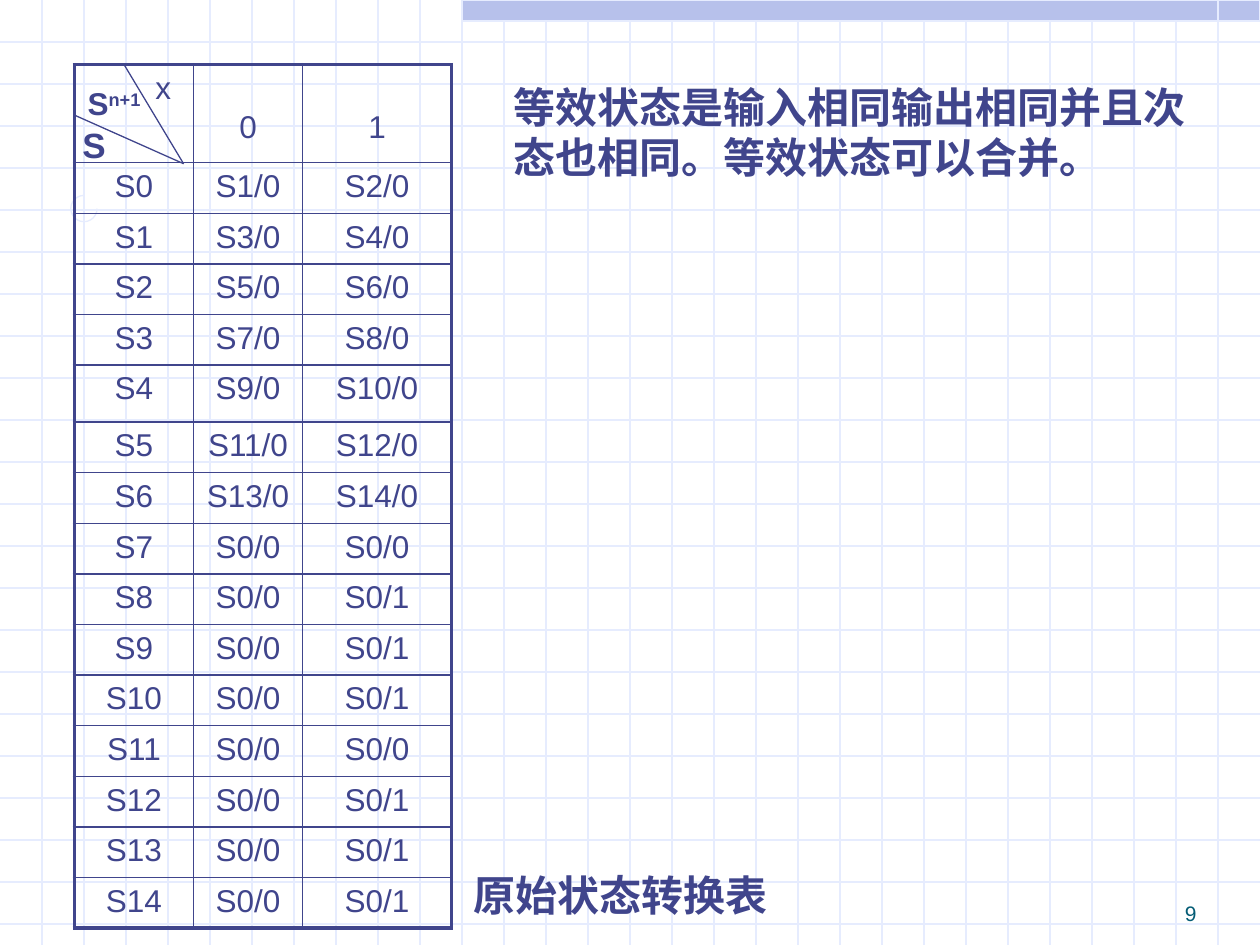
from lxml import etree
from pptx import Presentation
from pptx import util as u
from pptx.dml.color import RGBColor
from pptx.enum import shapes, text
from pptx.oxml import ns

INK = RGBColor(0x40, 0x45, 0x8C)
GRID = RGBColor(0xE6, 0xEC, 0xFE)
BAND = RGBColor(0xB7, 0xC1, 0xEB)
TEAL = RGBColor(0x04, 0x5C, 0x75)
FONT = "Arial"
THIN, THICK = u.Pt(1), u.Pt(2.25)

HEADER = ("x", "0", "1")
NEXT_STATES = [
    ("S1/0", "S2/0"), ("S3/0", "S4/0"), ("S5/0", "S6/0"), ("S7/0", "S8/0"),
    ("S9/0", "S10/0"), ("S11/0", "S12/0"), ("S13/0", "S14/0"),
    ("S0/0", "S0/0"), ("S0/0", "S0/1"), ("S0/0", "S0/1"), ("S0/0", "S0/1"),
    ("S0/0", "S0/0"), ("S0/0", "S0/1"), ("S0/0", "S0/1"), ("S0/0", "S0/1"),
]


def style_spans(para, size, color=INK, bold=False):
    for span in para.runs:
        font = span.font
        font.name, font.size, font.bold = FONT, u.Pt(size), bold
        font.color.rgb = color


def add_line(page, start, end, color):
    line = page.shapes.add_connector(shapes.MSO_CONNECTOR.STRAIGHT, *start, *end)
    line.line.color.rgb = color
    line.line.width = u.Pt(0.75)
    etree.SubElement(line._element.spPr, ns.qn("a:effectLst"))


def fill_box(box, words, size, color=INK, bold=True, inset=None,
             align=text.PP_ALIGN.LEFT, anchor=text.MSO_ANCHOR.TOP, wrap=True):
    """Put one styled paragraph in a text box or placeholder."""
    frame = box.text_frame
    frame.text = words
    frame.word_wrap = wrap
    frame.auto_size = text.MSO_AUTO_SIZE.NONE
    frame.vertical_anchor = anchor
    if inset is not None:
        frame.margin_left = frame.margin_right = inset
        frame.margin_top = frame.margin_bottom = inset
    para = frame.paragraphs[0]
    para.alignment = align
    style_spans(para, size, color, bold)
    return para


def draw_background(page, width, height):
    """Squared paper, the band at the top right and the circled crossing."""
    step = u.Cm(25.4) / 30
    for row in range(1, 23):
        y = round(row * step)
        add_line(page, (0, y), (width, y), GRID)
    for column in range(1, 30):
        x = round(column * step)
        add_line(page, (x, 0), (x, height), GRID)

    band_left = round(11 * step)
    band = page.shapes.add_shape(shapes.MSO_SHAPE.RECTANGLE, band_left, 0,
                                 width - band_left, round(step / 2))
    band.shadow.inherit = False
    band.fill.solid()
    band.fill.fore_color.rgb = BAND
    band.line.color.rgb = GRID
    band.line.width = u.Pt(0.75)

    margin_right, margin_left = round(29 * step), round(2 * step)
    add_line(page, (margin_right, 0), (margin_right, u.Cm(6.55)), GRID)
    add_line(page, (u.Cm(6.1), u.Cm(4.22)), (u.Cm(1.14), u.Cm(4.22)), GRID)
    add_line(page, (margin_left, u.Cm(3.94)), (margin_left, u.Cm(10.39)), GRID)

    size = u.Cm(0.53)
    ring = page.shapes.add_shape(shapes.MSO_SHAPE.ARC, margin_left - size // 2,
                                 u.Cm(3.94), size, size)
    ring.adjustments[0], ring.adjustments[1] = 0, 162  # 0° to 270°
    ring.shadow.inherit = False
    ring.fill.background()
    ring.line.color.rgb = GRID
    ring.line.width = u.Pt(0.75)


def set_borders(cell, widths):
    """Draw the left, right, top and bottom borders in the given widths."""
    properties = cell._tc.get_or_add_tcPr()
    for side, width in zip("LRTB", widths):
        border = etree.SubElement(properties, ns.qn(f"a:ln{side}"), w=str(width))
        fill = etree.SubElement(border, ns.qn("a:solidFill"))
        etree.SubElement(fill, ns.qn("a:srgbClr"), val=str(INK))


def draw_state_table(page, left, top):
    rows = [HEADER] + [(f"S{i}", *pair) for i, pair in enumerate(NEXT_STATES)]
    widths = [u.Cm(2.4), u.Cm(2.2), u.Cm(3)]
    heights = [u.Cm(1.02)] * len(rows)
    heights[0], heights[5] = u.Cm(1.98), u.Cm(1.15)
    table = page.shapes.add_table(len(rows), len(widths), left, top,
                                  sum(widths), sum(heights)).table
    table.first_row = table.horz_banding = False
    for column, width in zip(table.columns, widths):
        column.width = width
    last_row, last_column = len(rows) - 1, len(widths) - 1
    for r, values in enumerate(rows):
        table.rows[r].height = heights[r]
        for c, value in enumerate(values):
            cell = table.cell(r, c)
            edges = (c == 0, c == last_column, r == 0, r == last_row)
            set_borders(cell, [THICK if edge else THIN for edge in edges])
            cell.fill.background()
            cell.text_frame.text = value
            para = cell.text_frame.paragraphs[0]
            para.alignment = text.PP_ALIGN.CENTER
            style_spans(para, 18)
            if r == 0 and c > 0:
                cell.margin_top = u.Cm(0.92)
    corner = table.cell(0, 0)
    corner.text_frame.paragraphs[0].alignment = text.PP_ALIGN.RIGHT
    corner.margin_right = u.Cm(0.45)


def draw_corner_labels(page, left, top):
    """Split the corner cell in three and name the states."""
    meeting = (left + u.Cm(2.2), top + u.Cm(2))
    add_line(page, (left, top + u.Cm(1.02)), meeting, INK)
    add_line(page, (left + u.Cm(1), top), meeting, INK)

    box = page.shapes.add_textbox(left + u.Cm(0.2), top + u.Cm(0.4),
                                  u.Cm(1.2), u.Cm(0.77))
    para = fill_box(box, "S", 18, inset=0, align=text.PP_ALIGN.CENTER, wrap=False)
    power = para.add_run()
    power.text = "n+1"
    style_spans(para, 18, bold=True)
    power._r.get_or_add_rPr().set("baseline", "30000")

    box = page.shapes.add_textbox(left + u.Cm(0.2), top + u.Cm(1.2),
                                  u.Cm(0.4), u.Cm(0.86))
    fill_box(box, "S", 20, inset=0, align=text.PP_ALIGN.CENTER, wrap=False)


def place_caption(page, left, top):
    title = page.shapes.title
    title.left, title.top, title.width, title.height = left, top, u.Cm(6.8), u.Cm(1.28)
    fill_box(title, "原始状态转换表", 24)
    page.shapes._spTree.append(title._element)  # in front of the grid


def place_statement(page, left, top):
    box = page.shapes.add_textbox(left, top, u.Cm(14.6), u.Cm(2.3))
    fill_box(box, "等效状态是输入相同输出相同并且次态也相同。等效状态可以合并。", 24)


def place_page_number(page, left, top):
    box = page.shapes.add_textbox(left, top, u.Cm(2.1), u.Cm(1.02))
    fill_box(box, "9", 12, TEAL, bold=False, inset=0,
             align=text.PP_ALIGN.RIGHT, anchor=text.MSO_ANCHOR.BOTTOM)


def main():
    deck = Presentation()
    deck.slide_width, deck.slide_height = u.Cm(25.4), u.Cm(19.05)
    page = deck.slides.add_slide(deck.slide_layouts.get_by_name("Title Only"))
    table_left, table_top = u.Cm(1.5), u.Cm(1.3)
    draw_background(page, deck.slide_width, deck.slide_height)
    place_caption(page, u.Cm(9.3), u.Cm(17.4))
    draw_state_table(page, table_left, table_top)
    draw_corner_labels(page, table_left, table_top)
    place_statement(page, u.Cm(10.1), u.Cm(1.52))
    place_page_number(page, u.Cm(22.02), u.Cm(17.65))
    deck.save("out.pptx")


if __name__ == "__main__":
    main()
